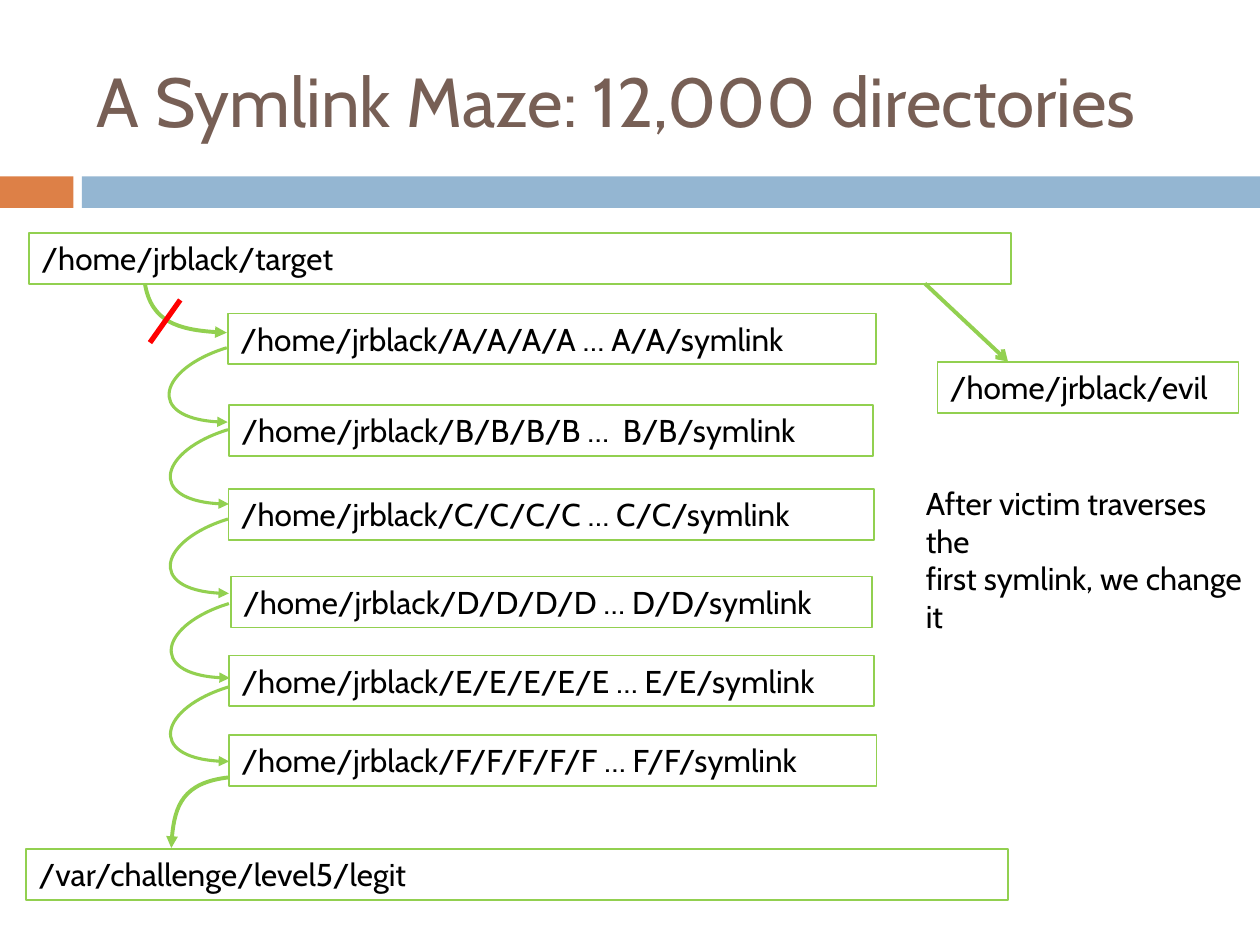
from dataclasses import dataclass

from lxml.etree import SubElement
from pptx import Presentation
from pptx.dml.color import RGBColor
from pptx.enum.shapes import MSO_CONNECTOR, MSO_SHAPE
from pptx.enum.text import MSO_ANCHOR, PP_ALIGN
from pptx.oxml.ns import qn
from pptx.util import Pt

FONT = "Cabin"
GREEN, RED, BLACK = "92D050", "FF0000", "000000"
ORANGE, BLUE, BROWN = "DD8047", "94B6D2", "775F55"
BOX_HEIGHT = 29.1


@dataclass(frozen=True)
class PathBox:
    text: str
    left: float
    top: float
    width: float


@dataclass(frozen=True)
class CurvedArrow:
    start: tuple[float, float]
    first_control: tuple[float, float]
    second_control: tuple[float, float]
    end: tuple[float, float]
    weight: float


def color(value: str) -> RGBColor:
    return RGBColor.from_string(value)


def write_text(shape, text: str, *, size: float = 18, fill: str = BLACK,
               anchor: MSO_ANCHOR = MSO_ANCHOR.TOP) -> None:
    frame = shape.text_frame
    frame.word_wrap = True
    frame.vertical_anchor = anchor
    frame.text = text
    for paragraph in frame.paragraphs:
        paragraph.alignment = PP_ALIGN.LEFT
        font = paragraph.runs[0].font
        font.name = FONT
        font.size = Pt(size)
        font.color.rgb = color(fill)


def add_text(slide, text: str, left: float, top: float, width: float,
             height: float, **text_format) -> None:
    shape = slide.shapes.add_textbox(Pt(left), Pt(top), Pt(width), Pt(height))
    write_text(shape, text, **text_format)


def add_bar(slide, left: float, width: float, fill: str) -> None:
    shape = slide.shapes.add_shape(
        MSO_SHAPE.RECTANGLE, Pt(left), Pt(100.8), Pt(width), Pt(18))
    shape.shadow.inherit = False
    shape.fill.solid()
    shape.fill.fore_color.rgb = color(fill)
    shape.line.fill.background()


def add_path_box(slide, box: PathBox) -> None:
    shape = slide.shapes.add_shape(
        MSO_SHAPE.RECTANGLE, Pt(box.left), Pt(box.top), Pt(box.width), Pt(BOX_HEIGHT))
    shape.shadow.inherit = False
    shape.fill.background()
    style_line(shape, GREEN, 1)
    write_text(shape, box.text)


def style_line(shape, stroke: str, weight: float, head: str = "") -> None:
    shape.line.color.rgb = color(stroke)
    shape.line.width = Pt(weight)
    if head:
        SubElement(shape.line._get_or_add_ln(), qn("a:tailEnd"), type=head)


def add_curved_arrow(slide, arrow: CurvedArrow) -> None:
    builder = slide.shapes.build_freeform(Pt(arrow.start[0]), Pt(arrow.start[1]))
    builder.add_line_segments(
        [(Pt(x), Pt(y)) for x, y in (arrow.first_control, arrow.second_control, arrow.end)],
        close=False)
    shape = builder.convert_to_shape()
    shape.shadow.inherit = False
    shape.fill.background()
    style_line(shape, GREEN, arrow.weight, "triangle")
    outline = shape._element.find(".//" + qn("a:path"))
    segments = outline.findall(qn("a:lnTo"))
    curve = SubElement(outline, qn("a:cubicBezTo"))
    for segment in segments:
        curve.append(segment[0])
        outline.remove(segment)


def add_straight_line(slide, start: tuple[float, float], end: tuple[float, float],
                      stroke: str, weight: float, head: str = "") -> None:
    connector = slide.shapes.add_connector(
        MSO_CONNECTOR.STRAIGHT, Pt(start[0]), Pt(start[1]), Pt(end[0]), Pt(end[1]))
    style_line(connector, stroke, weight, head)
    SubElement(connector._element.spPr, qn("a:effectLst"))


def symlink_loop(x: float, y: float) -> CurvedArrow:
    return CurvedArrow((x, y), (x - 39, y + 12), (x - 47.5, y + 42.5),
                       (x + 0.5, y + 42.5), 1.75)


PATH_BOXES = [
    PathBox("/home/jrblack/A/A/A/A … A/A/symlink", 130.3, 179.1, 370.3),
    PathBox("/home/jrblack/B/B/B/B …  B/B/symlink", 130.9, 231.4, 368),
    PathBox("/home/jrblack/C/C/C/C … C/C/symlink", 130.6, 279.3, 368.8),
    PathBox("/home/jrblack/D/D/D/D … D/D/symlink", 131.8, 329.5, 366.5),
    PathBox("/home/jrblack/E/E/E/E/E … E/E/symlink", 130.9, 374.5, 368.6),
    PathBox("/home/jrblack/F/F/F/F/F … F/F/symlink", 130.9, 420, 370),
    PathBox("/home/jrblack/target", 16.6, 133.2, 561),
    PathBox("/var/challenge/level5/legit", 15, 485.2, 561),
    PathBox("/home/jrblack/evil", 535.7, 206.9, 172),
]

CURVED_ARROWS = [
    CurvedArrow((82.8, 162), (86.4, 184.3), (105.8, 189.4), (129.6, 190.1), 2.25),
    CurvedArrow((131, 444.2), (104.4, 447.1), (98.6, 463.7), (97.9, 484.6), 2.25),
    symlink_loop(129.6, 198.7),
    symlink_loop(130.3, 245.5),
    symlink_loop(130.3, 296.6),
    symlink_loop(130.8, 344.9),
    symlink_loop(130.4, 392.6),
]


def main() -> None:
    presentation = Presentation()
    presentation.slide_width, presentation.slide_height = Pt(720), Pt(540)
    slide = presentation.slides.add_slide(presentation.slide_layouts[6])

    add_bar(slide, 0, 42, ORANGE)
    add_bar(slide, 46.8, 673.2, BLUE)
    add_text(slide, "A Symlink Maze: 12,000 directories", 48.2, 18, 642.2, 77.8,
             size=39.6, fill=BROWN, anchor=MSO_ANCHOR.MIDDLE)
    for box in PATH_BOXES:
        add_path_box(slide, box)
    for arrow in CURVED_ARROWS:
        add_curved_arrow(slide, arrow)
    add_text(slide, "After victim traverses the\nfirst symlink, we change it",
             522, 272.9, 199.4, 51.1)
    add_straight_line(slide, (103, 171.4), (85.7, 195.8), RED, 3)
    add_straight_line(slide, (528.5, 162), (576, 206.6), GREEN, 2.25, "arrow")

    presentation.save("out.pptx")


main()
